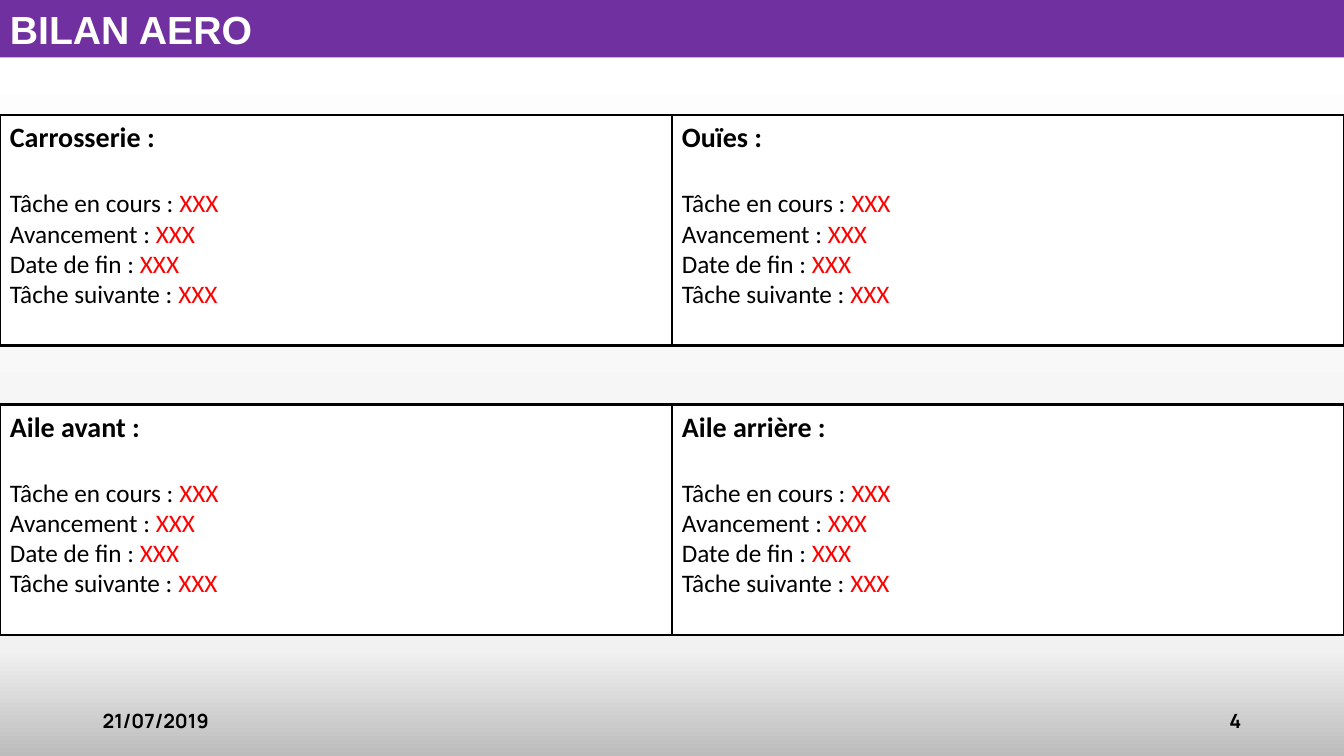
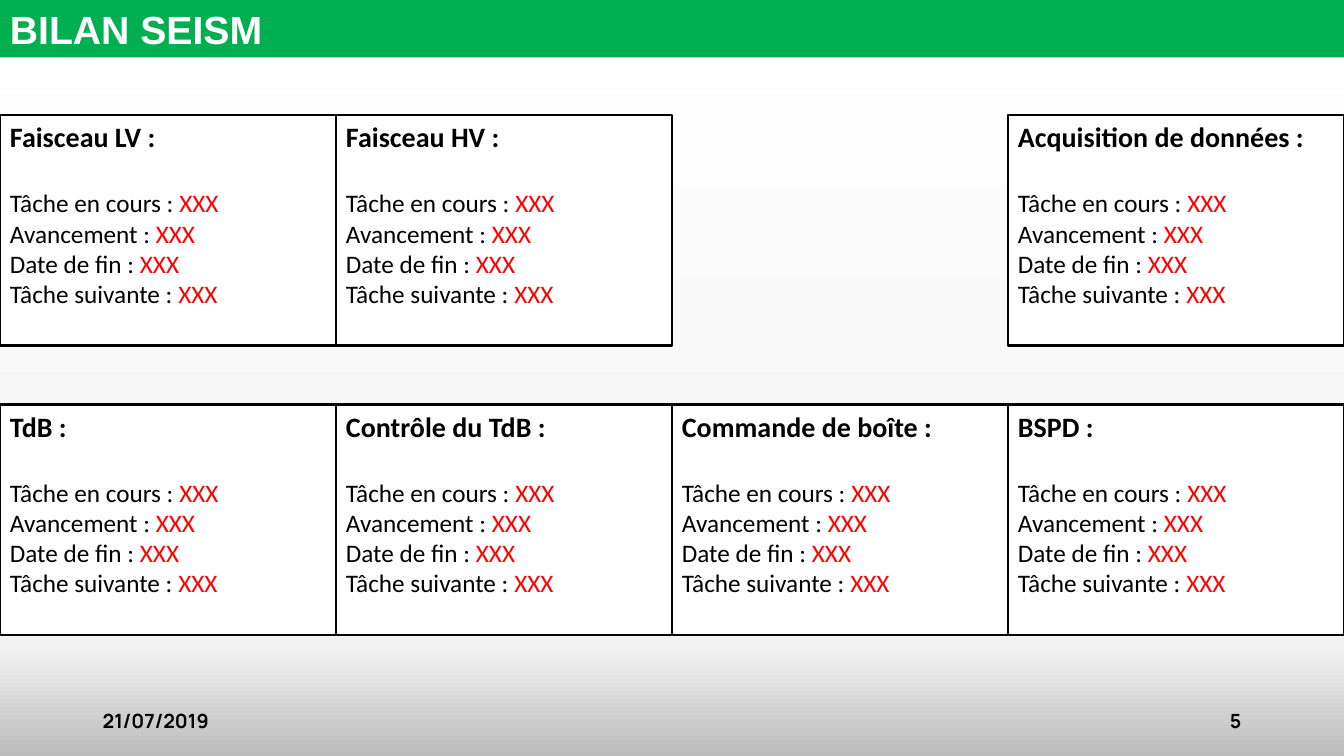
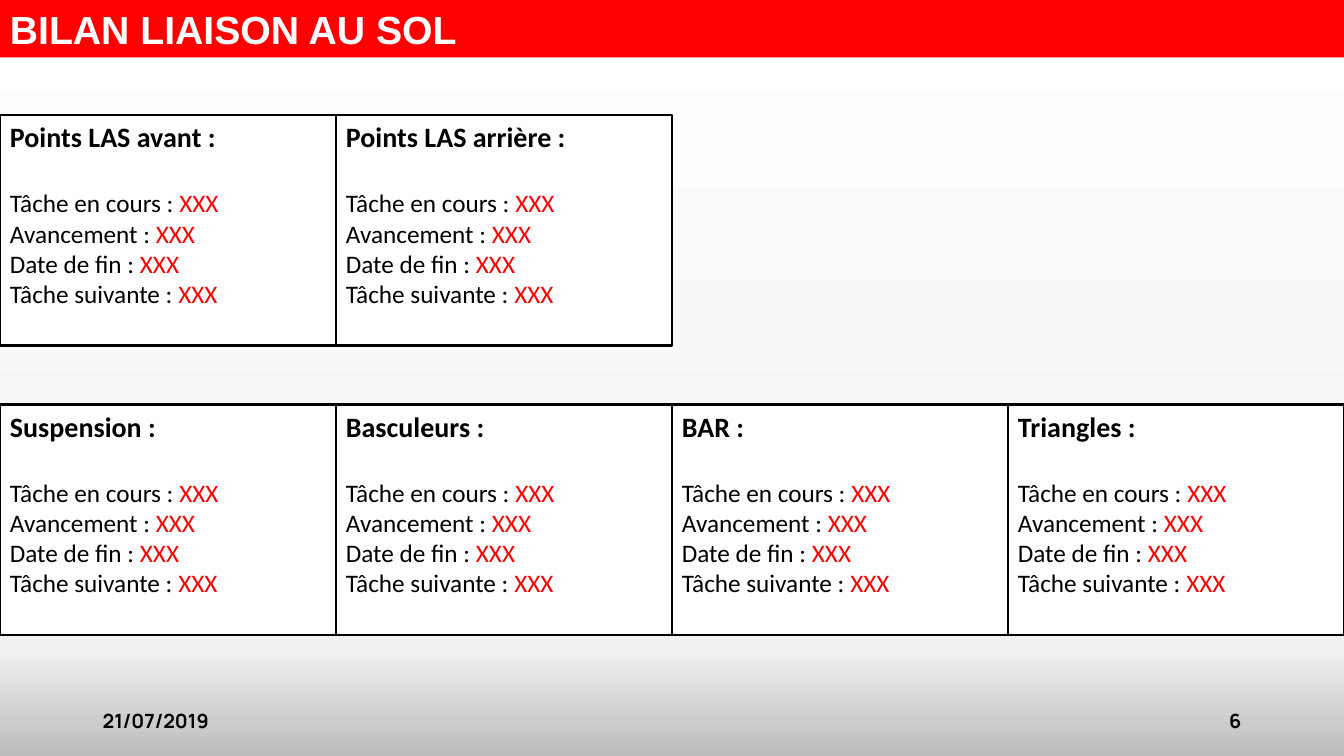
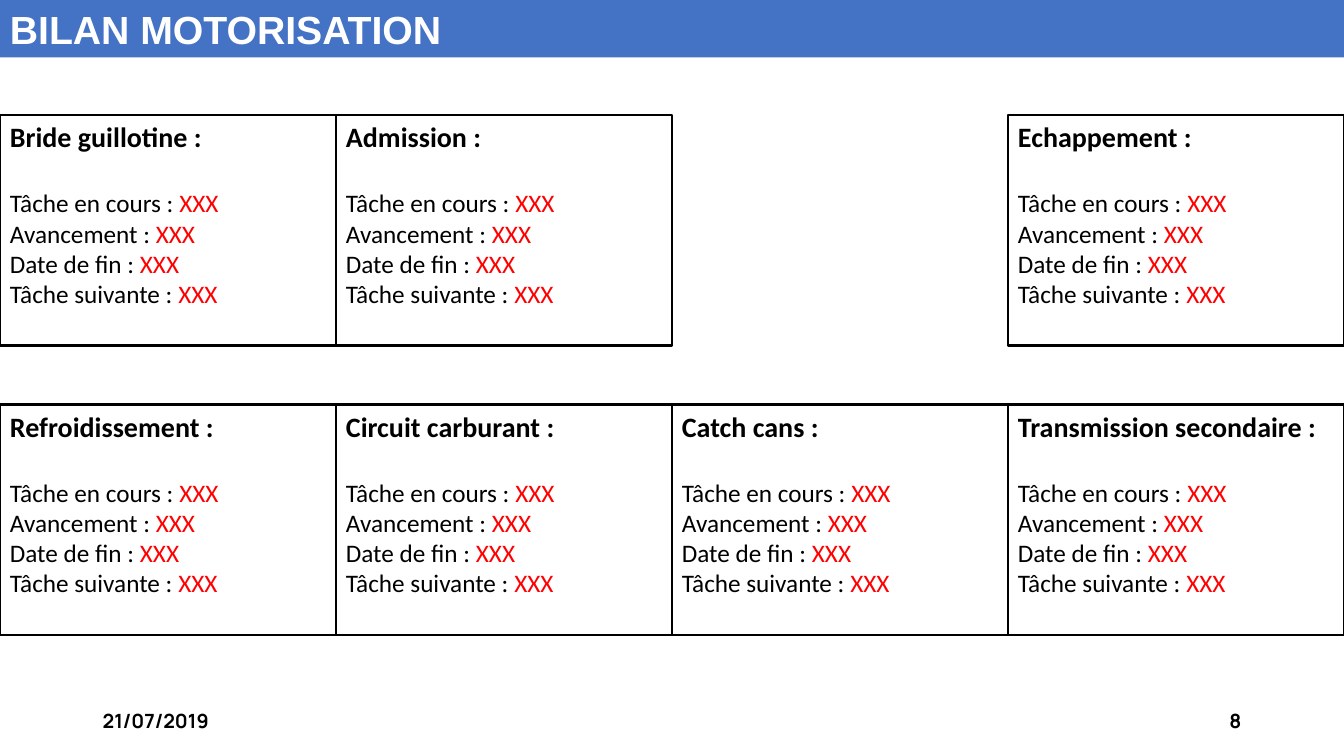
from copy import deepcopy
from dataclasses import dataclass
from typing import Optional

from pptx import Presentation
from pptx import util as u
from pptx.dml.color import RGBColor
from pptx.enum import shapes, text
from pptx.oxml.ns import qn

WIDTH, HEIGHT = 13.33, 7.5
BAND = 0.57
TOP, PITCH, TALL = 1.14, 2.87, 2.29
FOOT_TOP, FOOT_WIDE, FOOT_TALL, MARGIN = 6.95, 3, 0.4, 0.92
GAP = 24.4

BLACK = RGBColor(0x00, 0x00, 0x00)
WHITE = RGBColor(0xFF, 0xFF, 0xFF)
RED = RGBColor(0xFF, 0x00, 0x00)
GREEN = RGBColor(0x00, 0xB0, 0x50)
BLUE = RGBColor(0x44, 0x72, 0xC4)
PURPLE = RGBColor(0x70, 0x30, 0xA0)
PALE = RGBColor(0xF1, 0xF1, 0xF1)
GREY = RGBColor(0xBD, 0xBC, 0xBD)

SHADES = ((0, WHITE), (0.86, PALE), (1, GREY))
FIELDS = ("Tâche en cours", "Avancement", "Date de fin", "Tâche suivante")
VALUE = "XXX"
DATE = "21/07/2019"


@dataclass(frozen=True)
class Page:
    title: str
    color: RGBColor
    number: int
    rows: tuple[tuple[Optional[str], ...], ...]
    shaded: bool = True


PAGES = (
    Page("BILAN AERO", PURPLE, 4, (
        ("Carrosserie", "Ouïes"),
        ("Aile avant", "Aile arrière"))),
    Page("BILAN SEISM", GREEN, 5, (
        ("Faisceau LV", "Faisceau HV", None, "Acquisition de données"),
        ("TdB", "Contrôle du TdB", "Commande de boîte", "BSPD"))),
    Page("BILAN LIAISON AU SOL", RED, 6, (
        ("Points LAS avant", "Points LAS arrière", None, None),
        ("Suspension", "Basculeurs", "BAR", "Triangles"))),
    Page("BILAN MOTORISATION", BLUE, 8, (
        ("Bride guillotine", "Admission", None, "Echappement"),
        ("Refroidissement", "Circuit carburant", "Catch cans",
         "Transmission secondaire")), shaded=False),
)


def write(para, words: str, *, size: float = 18, font: str = "Calibri",
          color: RGBColor = BLACK, bold: bool = False,
          align=text.PP_ALIGN.LEFT, after: float = 0) -> None:
    para.alignment = align
    para.space_after = u.Pt(after)
    run = para.add_run()
    run.text = words
    run.font.size = u.Pt(size)
    run.font.name = font
    run.font.bold = bold
    run.font.color.rgb = color


def block(slide, left: float, top: float, wide: float, tall: float,
          fill: RGBColor, line: Optional[RGBColor] = None):
    shape = slide.shapes.add_shape(
        shapes.MSO_SHAPE.RECTANGLE,
        u.Inches(left), u.Inches(top), u.Inches(wide), u.Inches(tall))
    shape.shadow.inherit = False
    shape.fill.solid()
    shape.fill.fore_color.rgb = fill
    if line is None:
        shape.line.fill.background()
    else:
        shape.line.color.rgb = line
        shape.line.width = u.Pt(2)
    frame = shape.text_frame
    frame.word_wrap = True
    frame.vertical_anchor = text.MSO_ANCHOR.TOP
    return frame


def card(slide, name: str, left: float, top: float, wide: float) -> None:
    frame = block(slide, left, top, wide, TALL, WHITE, BLACK)
    write(frame.paragraphs[0], f"{name} :", size=20, bold=True, after=GAP)
    for field in FIELDS:
        para = frame.add_paragraph()
        write(para, f"{field} : ")
        write(para, VALUE, color=RED)


def footer(slide, words: str, left: float, align) -> None:
    box = slide.shapes.add_textbox(
        u.Inches(left), u.Inches(FOOT_TOP),
        u.Inches(FOOT_WIDE), u.Inches(FOOT_TALL))
    frame = box.text_frame
    frame.word_wrap = True
    frame.vertical_anchor = text.MSO_ANCHOR.MIDDLE
    write(frame.paragraphs[0], words, size=14, font="Manrope", bold=True,
          align=align)


def backdrop(slide, shaded: bool) -> None:
    fill = slide.background.fill
    if not shaded:
        fill.solid()
        fill.fore_color.rgb = WHITE
        return
    fill.gradient()
    fill.gradient_angle = 270
    stops = next(slide.element.iter(qn("a:gsLst")))
    stops.append(deepcopy(stops[0]))
    for stop, (place, color) in zip(fill.gradient_stops, SHADES):
        stop.position = place
        stop.color.rgb = color


def draw(deck, page: Page) -> None:
    slide = deck.slides.add_slide(deck.slide_layouts[6])
    backdrop(slide, page.shaded)
    for row, names in enumerate(page.rows):
        wide = WIDTH / len(names)
        for col, name in enumerate(names):
            if name:
                card(slide, name, col * wide, TOP + row * PITCH, wide)
    footer(slide, str(page.number), WIDTH - MARGIN - FOOT_WIDE,
           text.PP_ALIGN.RIGHT)
    footer(slide, DATE, MARGIN, text.PP_ALIGN.LEFT)
    band = block(slide, 0, 0, WIDTH, BAND, page.color)
    write(band.paragraphs[0], page.title, size=28, font="Arial",
          color=WHITE, bold=True)


def main() -> None:
    deck = Presentation()
    deck.slide_width = u.Inches(WIDTH)
    deck.slide_height = u.Inches(HEIGHT)
    for page in PAGES:
        draw(deck, page)
    deck.save("out.pptx")


if __name__ == "__main__":
    main()
